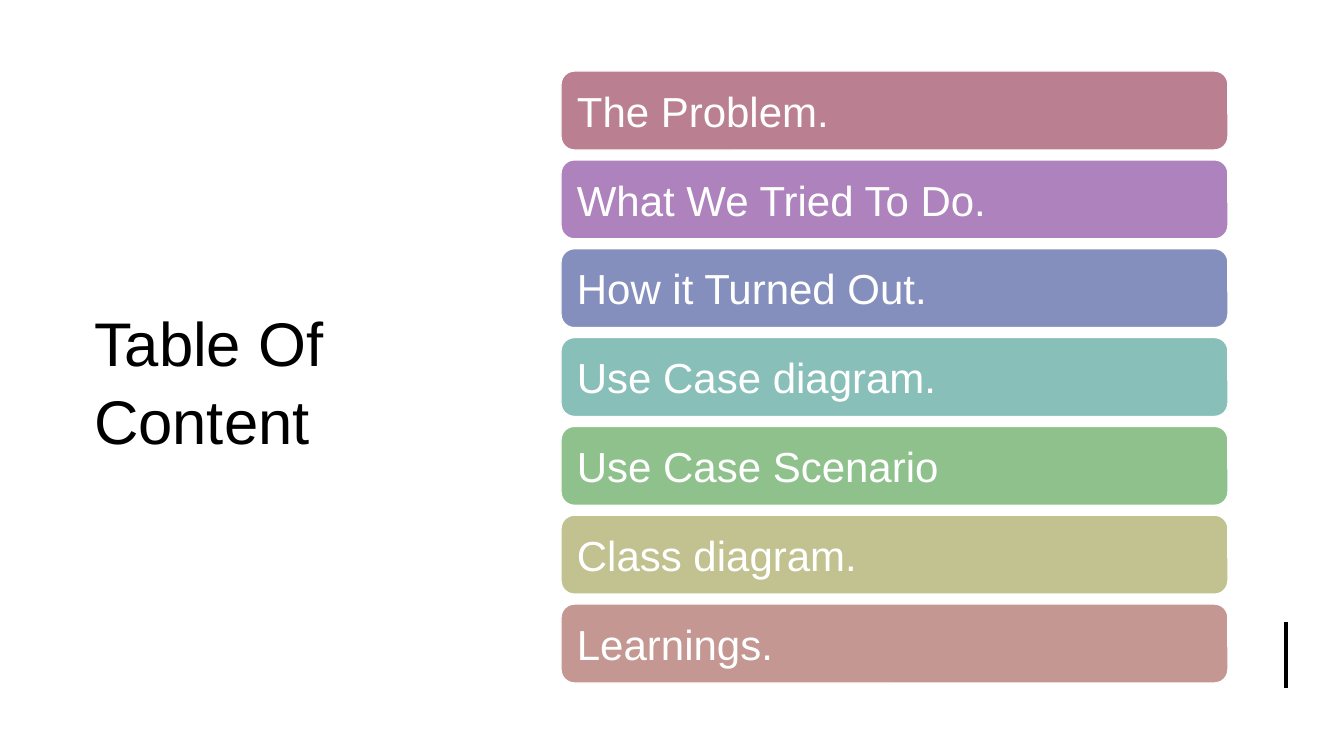
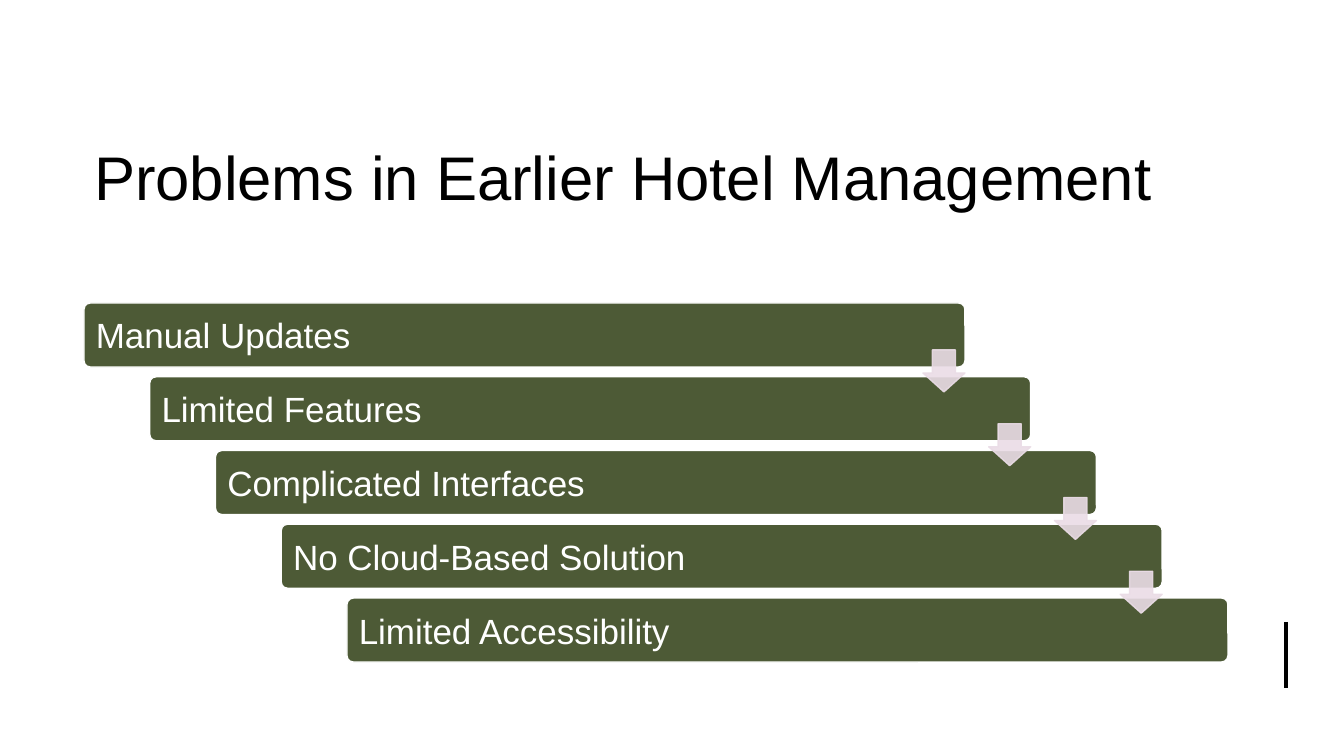
from lxml import etree
from pptx import Presentation
from pptx.dml.color import RGBColor
from pptx.enum.shapes import MSO_CONNECTOR, MSO_SHAPE
from pptx.enum.text import MSO_ANCHOR, MSO_AUTO_SIZE, PP_ALIGN
from pptx.oxml.ns import qn
from pptx.util import Pt

ROUND, ARROW = MSO_SHAPE.ROUNDED_RECTANGLE, MSO_SHAPE.DOWN_ARROW
LINE, MIDDLE, LEFT = MSO_CONNECTOR.STRAIGHT, MSO_ANCHOR.MIDDLE, PP_ALIGN.LEFT
FIXED = MSO_AUTO_SIZE.NONE

# Content
TOPICS = [
    ("The Problem.", "rose"),
    ("What We Tried To Do.", "violet"),
    ("How it Turned Out.", "blue"),
    ("Use Case diagram.", "teal"),
    ("Use Case Scenario", "green"),
    ("Class diagram.", "olive"),
    ("Learnings.", "clay"),
]
FLAWS = [
    "Manual Updates",
    "Limited Features",
    "Complicated Interfaces",
    "No Cloud-Based Solution",
    "Limited Accessibility",
]

# Shared style
HEX = {
    "ink": "000000", "white": "FFFFFF", "moss": "4D5A36", "blush": "EADCE6",
    "rose": "BA7F91", "violet": "AE82BC", "blue": "858FBD", "teal": "89BFB9",
    "green": "8EC18C", "olive": "C1C28F", "clay": "C49792",
}
FONT = "Arial"
SCALE = 914400 / 100.8
WIDE, HIGH = 1344, 756
RULE = (1286, 622, 1286, 688)

# Bars: first corner, last corner, size
LIST = {"first": (561, 71), "last": (561, 604), "size": (667, 79)}
STAIR = {"first": (84, 303), "last": (347, 598), "size": (881, 64)}
TIP, DROP = 42, 47


def px(*nums):
    return [round(n * SCALE) for n in nums]


def color(name):
    return RGBColor.from_string(HEX[name])


def write(shape, text, size, tone, pad, gap=1.0):
    frame = shape.text_frame
    frame.text = text
    form = {"word_wrap": True, "auto_size": FIXED, "vertical_anchor": MIDDLE}
    for side in ("left", "top", "right", "bottom"):
        form["margin_" + side] = px(pad)[0]
    for key, val in form.items():
        setattr(frame, key, val)
    para = frame.paragraphs[0]
    para.alignment, para.line_spacing = LEFT, gap
    font = para.runs[0].font
    for key, val in {"name": FONT, "size": Pt(size), "bold": False}.items():
        setattr(font, key, val)
    font.color.rgb = color(tone)


def start(deck, text, box):
    """Add a slide with its title and the corner rule."""
    slide = deck.slides.add_slide(deck.slide_layouts[5])
    title = slide.shapes.title
    title.left, title.top, title.width, title.height = px(*box)
    write(title, text, 44, "ink", 10, 1.05)
    rule = slide.shapes.add_connector(LINE, *px(*RULE))
    rule.line.color.rgb = color("ink")
    rule.line.width = Pt(3)
    etree.SubElement(rule._element.spPr, qn("a:effectLst"))
    return slide


def draw(slide, kind, box, fill, edge, adj):
    shape = slide.shapes.add_shape(kind, *px(*box))
    shape.shadow.inherit = False
    shape.fill.solid()
    shape.fill.fore_color.rgb = color(fill)
    shape.line.color.rgb = color(edge)
    shape.line.width = Pt(1)
    for i, val in enumerate(adj):
        shape.adjustments[i] = val
    return shape


def fade(shape, part):
    """Set the opacity of fill and line."""
    for tint in shape._element.spPr.iter(qn("a:srgbClr")):
        etree.SubElement(tint, qn("a:alpha"), val=str(part * 1000))


def spread(grid, count):
    """Place boxes at equal steps from the first corner to the last."""
    (x, y), (far, low) = grid["first"], grid["last"]
    for i in range(count):
        t = i / (count - 1)
        yield (x + (far - x) * t, y + (low - y) * t, *grid["size"])


def main():
    deck = Presentation()
    deck.slide_width, deck.slide_height = px(WIDE, HIGH)

    # Contents list
    slide = start(deck, "Table Of Content", (84, 95, 380, 568))
    for (text, tone), box in zip(TOPICS, spread(LIST, len(TOPICS))):
        bar = draw(slide, ROUND, box, tone, "white", [0.17])
        write(bar, text, 30, "white", 12)

    # Stair of problems
    slide = start(deck, "Problems in Earlier Hotel Management",
                  (84, 95, 1144, 158))
    steps = list(spread(STAIR, len(FLAWS)))
    for text, box in zip(FLAWS, steps):
        bar = draw(slide, ROUND, box, "moss", "white", [0.1])
        write(bar, text, 25, "white", 10)

    # Arrows from each step to the next
    for x, y, w, h in steps[:-1]:
        box = (x + w - TIP, y + DROP, TIP, TIP)
        fade(draw(slide, ARROW, box, "blush", "blush", [0.55, 0.45]), 90)

    deck.save("out.pptx")


if __name__ == "__main__":
    main()
